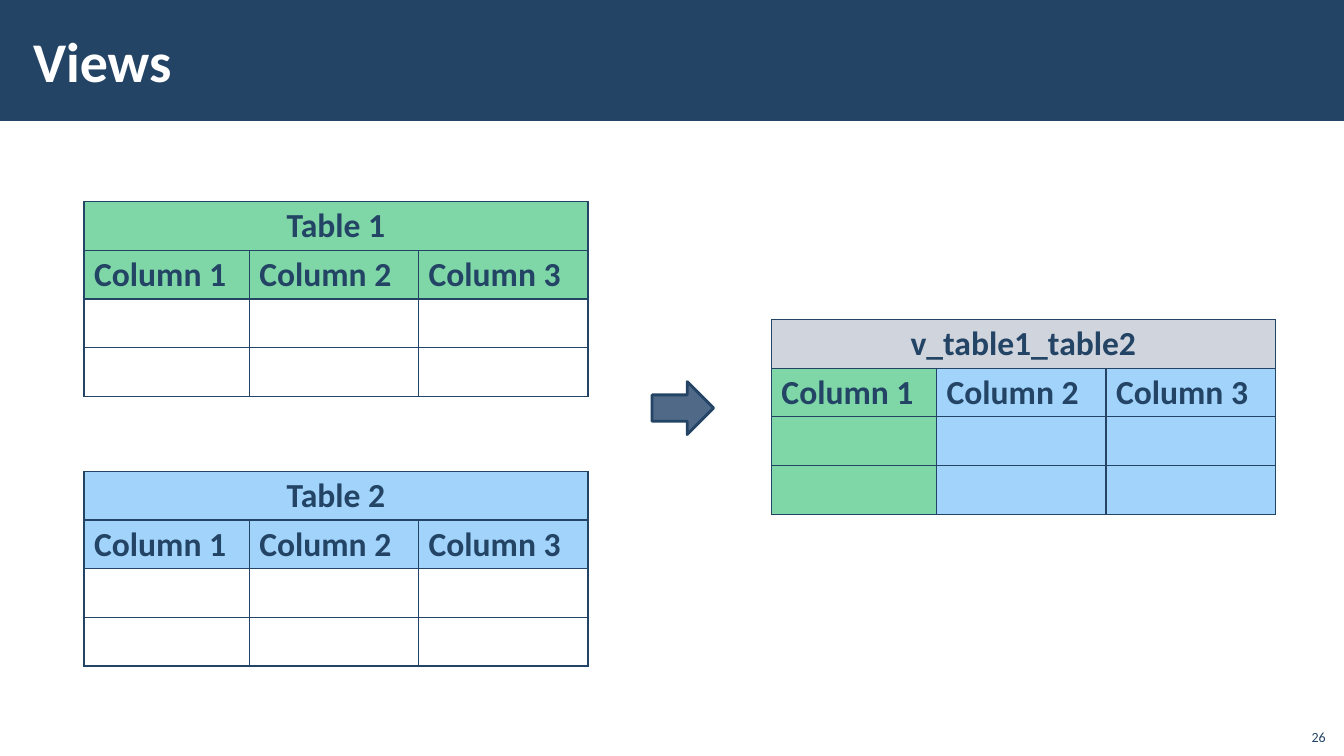
from lxml import etree
from pptx import Presentation
from pptx.dml.color import RGBColor
from pptx.enum.shapes import MSO_SHAPE
from pptx.enum.text import MSO_ANCHOR, PP_ALIGN
from pptx.oxml.ns import qn
from pptx.util import Pt

LEFT, CENTER, RIGHT = PP_ALIGN.LEFT, PP_ALIGN.CENTER, PP_ALIGN.RIGHT
MIDDLE, BOTTOM = MSO_ANCHOR.MIDDLE, MSO_ANCHOR.BOTTOM
RECTANGLE, RIGHT_ARROW = MSO_SHAPE.RECTANGLE, MSO_SHAPE.RIGHT_ARROW

COLORS = {
    "navy": "234465",
    "slate": "4F6987",
    "green": "00B050",
    "blue": "44A9F8",
    "gray": "A3ABBC",
    "white": "FFFFFF",
}
COLUMN_WIDTHS = (118, 121, 121)
ROW_HEIGHT = 34.8
HEADINGS = ("Column 1", "Column 2", "Column 3")


def write(frame, text, size, color, align=LEFT, bold=False):
    paragraph = frame.paragraphs[0]
    paragraph.alignment = align
    span = paragraph.add_run()
    span.text = text
    span.font.color.rgb = RGBColor.from_string(COLORS[color])
    style = {"name": "Calibri", "size": Pt(size), "bold": bold}
    for name, value in style.items():
        setattr(span.font, name, value)
    return paragraph


def paint_cell(cell, color):
    """Give the cell navy borders and a half-transparent fill, or none."""
    properties = cell._tc.get_or_add_tcPr()
    if color:
        cell.fill.solid()
        cell.fill.fore_color.rgb = RGBColor.from_string(COLORS[color])
        tint = properties.find(".//" + qn("a:srgbClr"))
        etree.SubElement(tint, qn("a:alpha"), val="50000")
    else:
        cell.fill.background()
    for position, side in enumerate(("lnL", "lnR", "lnT", "lnB")):
        border = etree.Element(qn("a:" + side), w=str(Pt(1)))
        solid = etree.SubElement(border, qn("a:solidFill"))
        etree.SubElement(solid, qn("a:srgbClr"), val=COLORS["navy"])
        properties.insert(position, border)


deck = Presentation()
deck.slide_width, deck.slide_height = Pt(960), Pt(540)
page = deck.slides.add_slide(deck.slide_layouts[6])

# Title bar and arrow
for kind, bounds, fill, line_width in (
    (RECTANGLE, (0, 0, 960, 86.4), "navy", 0),
    (RIGHT_ARROW, (465.8, 272.6, 44, 37.8), "slate", 2),
):
    shape = page.shapes.add_shape(kind, *map(Pt, bounds))
    shape.shadow.inherit = False
    shape.fill.solid()
    shape.fill.fore_color.rgb = RGBColor.from_string(COLORS[fill])
    if line_width:
        shape.line.color.rgb = RGBColor.from_string(COLORS["navy"])
        shape.line.width = Pt(line_width)
    else:
        shape.line.fill.background()

# Title and page number
for text, bounds, inset, anchor, size, color, align, bold in (
    ("Views", (15, 8, 765, 70), 8.64, MIDDLE, 40, "white", LEFT, True),
    ("26", (925.2, 512.6, 28.8, 23), 7.2, BOTTOM, 10, "navy", RIGHT, False),
):
    box = page.shapes.add_textbox(*map(Pt, bounds))
    layout = {
        "word_wrap": True,
        "vertical_anchor": anchor,
        "margin_left": Pt(inset),
        "margin_right": Pt(inset),
    }
    for name, value in layout.items():
        setattr(box.text_frame, name, value)
    write(box.text_frame, text, size, color, align, bold)

# Two source tables and the view that joins them
for name, left, top, title_color, heading_colors, body_colors in (
    ("Table 1", 60, 144, "green", ["green"] * 3, [None] * 3),
    ("Table 2", 60, 336.6, "blue", ["blue"] * 3, [None] * 3),
    ("v_table1_table2", 551, 228.2, "gray",
     ["green", "blue", "blue"], ["green", "blue", "blue"]),
):
    table = page.shapes.add_table(
        4, 3, Pt(left), Pt(top), Pt(sum(COLUMN_WIDTHS)), Pt(4 * ROW_HEIGHT)
    ).table
    table.first_row = table.horz_banding = False
    for column, width in zip(table.columns, COLUMN_WIDTHS):
        column.width = Pt(width)
    for row in table.rows:
        row.height = Pt(ROW_HEIGHT)

    row_colors = ([title_color] * 3, heading_colors, body_colors, body_colors)
    for row, colors in zip(table.rows, row_colors):
        for cell, color in zip(row.cells, colors):
            paint_cell(cell, color)

    table.cell(0, 0).merge(table.cell(0, 2))
    labels = [(table.cell(0, 0), name, CENTER)]
    labels += [(table.cell(1, i), text, LEFT) for i, text in enumerate(HEADINGS)]
    for cell, text, align in labels:
        paragraph = write(cell.text_frame, text, 24, "navy", align, True)
        paragraph.line_spacing = 0.95

deck.save("out.pptx")
